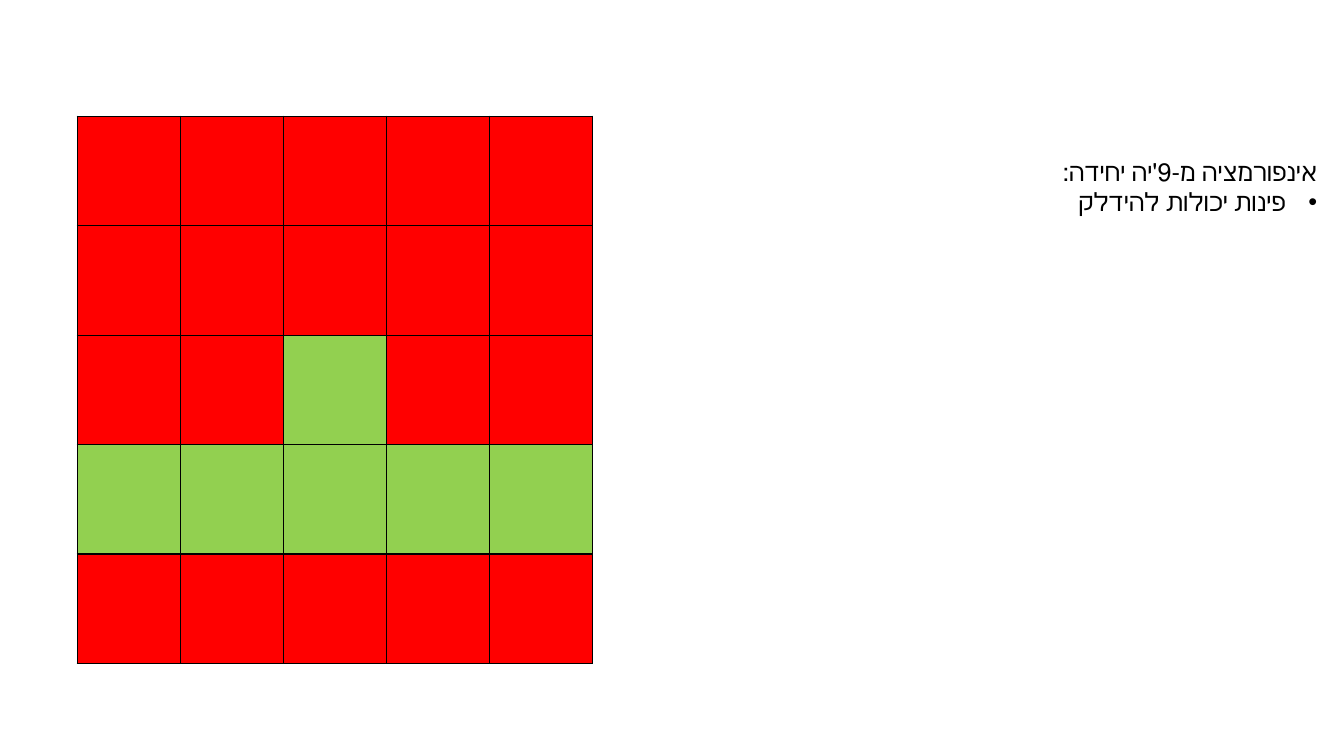
from dataclasses import dataclass

from lxml.etree import SubElement
from pptx import Presentation
from pptx.dml.color import RGBColor
from pptx.enum.lang import MSO_LANGUAGE_ID
from pptx.enum.text import MSO_AUTO_SIZE, PP_ALIGN
from pptx.oxml.ns import qn
from pptx.slide import Slide
from pptx.table import _Cell
from pptx.text.text import TextFrame
from pptx.util import Pt

RED = RGBColor(0xFF, 0x00, 0x00)
GREEN = RGBColor(0x92, 0xD0, 0x50)
BLACK = RGBColor(0x00, 0x00, 0x00)

CELL_COLORS = {"R": RED, "G": GREEN}
GRID_ROWS = ["RRRRR", "RRRRR", "RRGRR", "GGGGG", "RRRRR"]
GRID_LEFT, GRID_TOP = Pt(55.2), Pt(83)
COLUMN_WIDTH, ROW_HEIGHT = Pt(73.6), Pt(78.2)
BORDER_WIDTH = Pt(1)
BULLET_INDENT = Pt(22.5)
FONT_FORMAT = {
    "name": "Calibri",
    "size": Pt(18),
    "language_id": MSO_LANGUAGE_ID.HEBREW,
}


@dataclass(frozen=True)
class NoteLine:
    text: str
    bullet: str = ""


NOTE_LINES = [
    NoteLine("אינפורמציה מ-9'יה יחידה:"),
    NoteLine("פינות יכולות להידלק", "•"),
]


def add_borders(cell: _Cell) -> None:
    properties = cell._tc.get_or_add_tcPr()
    for side in ("a:lnL", "a:lnR", "a:lnT", "a:lnB"):
        border = SubElement(properties, qn(side), w=str(BORDER_WIDTH))
        fill = SubElement(border, qn("a:solidFill"))
        SubElement(fill, qn("a:srgbClr"), val=str(BLACK))


def add_grid(page: Slide) -> None:
    row_count, column_count = len(GRID_ROWS), len(GRID_ROWS[0])
    grid = page.shapes.add_table(
        row_count,
        column_count,
        GRID_LEFT,
        GRID_TOP,
        COLUMN_WIDTH * column_count,
        ROW_HEIGHT * row_count,
    ).table
    grid.first_row = False
    grid.horz_banding = False
    for row_index, row_colors in enumerate(GRID_ROWS):
        for column_index, color_key in enumerate(row_colors):
            cell = grid.cell(row_index, column_index)
            add_borders(cell)
            cell.fill.solid()
            cell.fill.fore_color.rgb = CELL_COLORS[color_key]


def add_line(frame: TextFrame, line: NoteLine, first: bool) -> None:
    para = frame.paragraphs[0] if first else frame.add_paragraph()
    para.alignment = PP_ALIGN.RIGHT
    properties = para._p.get_or_add_pPr()
    properties.set("rtl", "1")
    if line.bullet:
        properties.set("marL", str(BULLET_INDENT))
        properties.set("indent", str(-BULLET_INDENT))
        SubElement(properties, qn("a:buFont"), typeface="Arial")
        SubElement(properties, qn("a:buChar"), char=line.bullet)
    span = para.add_run()
    span.text = line.text
    for name, value in FONT_FORMAT.items():
        setattr(span.font, name, value)
    span.font.color.rgb = BLACK


def add_note(page: Slide) -> None:
    box = page.shapes.add_textbox(Pt(750), Pt(108), Pt(198), Pt(51))
    frame = box.text_frame
    frame.word_wrap = False
    frame.auto_size = MSO_AUTO_SIZE.SHAPE_TO_FIT_TEXT
    for index, line in enumerate(NOTE_LINES):
        add_line(frame, line, index == 0)


def main() -> None:
    deck = Presentation()
    deck.slide_width, deck.slide_height = Pt(960), Pt(540)
    page = deck.slides.add_slide(deck.slide_layouts[6])
    add_note(page)
    add_grid(page)
    deck.save("out.pptx")


if __name__ == "__main__":
    main()
